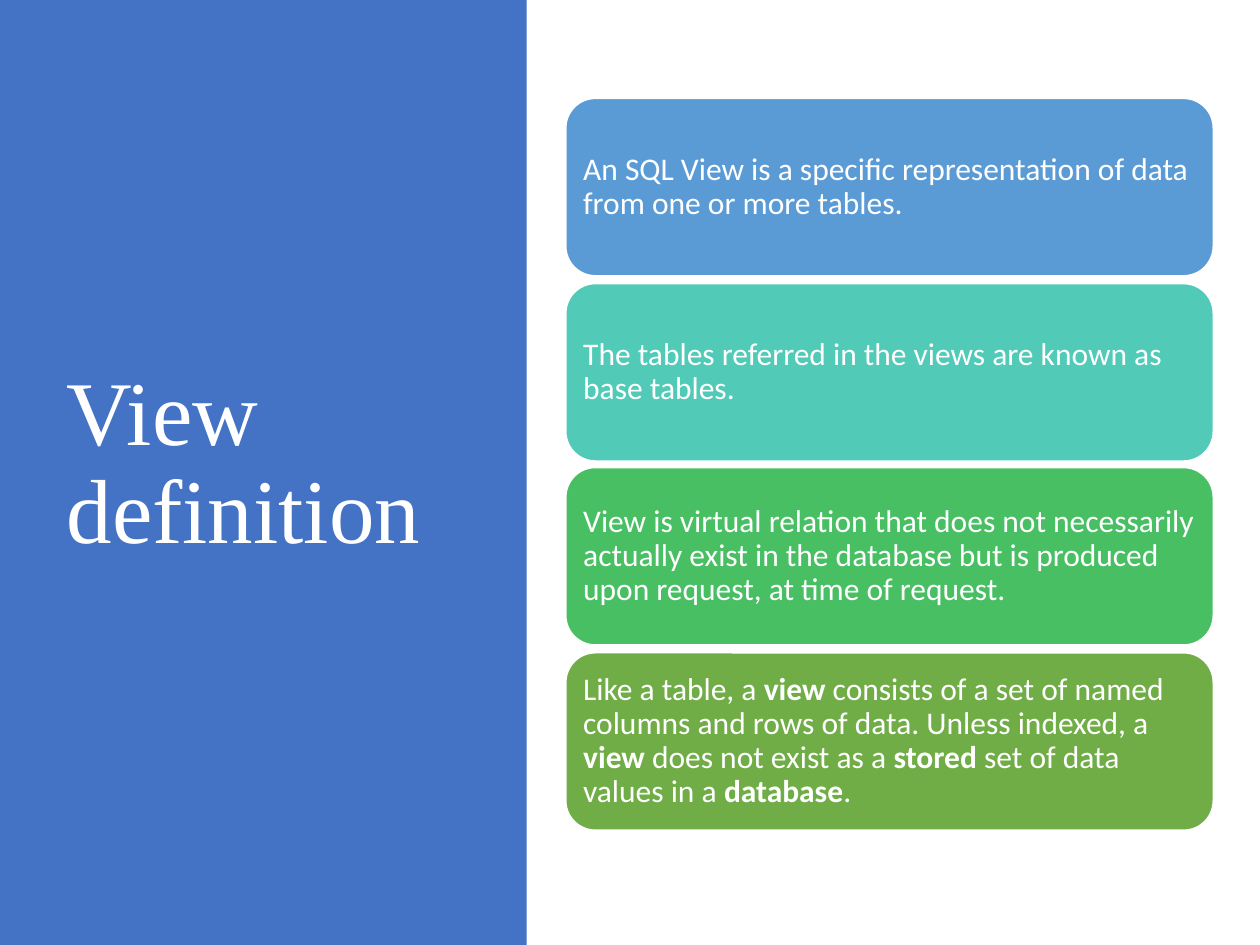
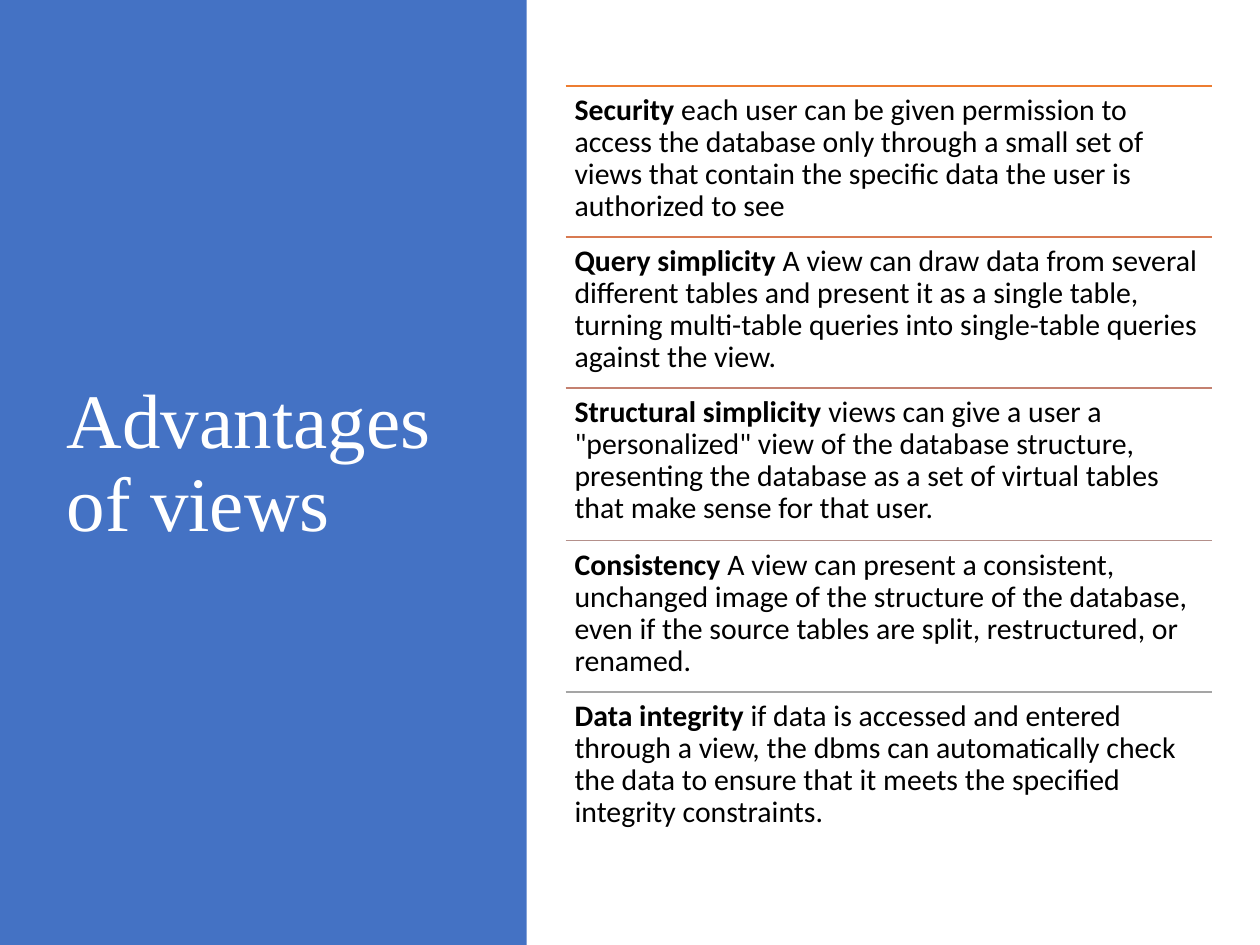
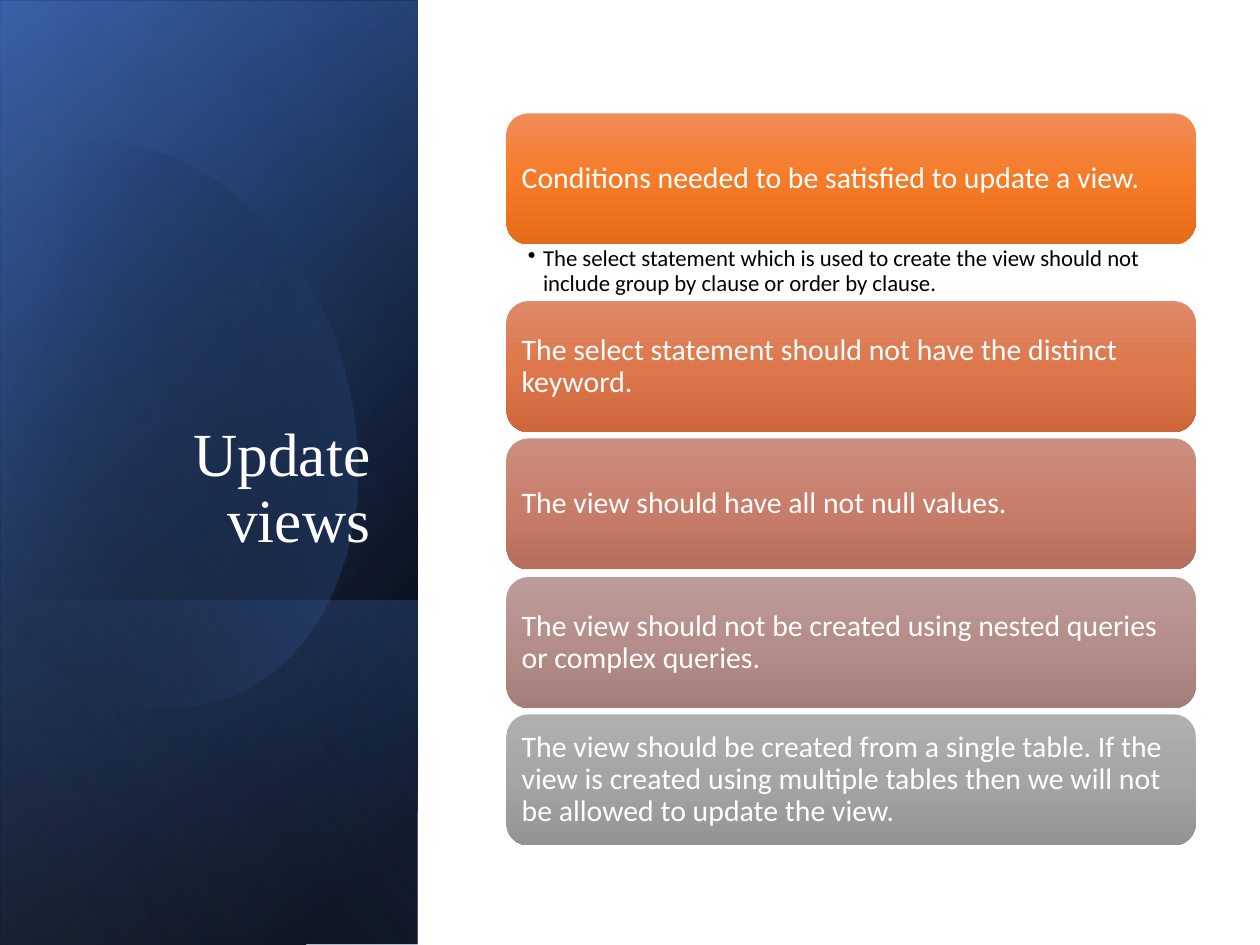
import math
from dataclasses import dataclass

from lxml import etree
from pptx import Presentation
from pptx import util as u
from pptx.dml.color import RGBColor
from pptx.enum import shapes, text
from pptx.oxml.ns import qn

PX = 9144  # EMU per px, 100 px to the inch
WIDTH, HEIGHT = 1000, 750
TITLE_ONLY = 5


@dataclass(frozen=True)
class Theme:
    body_font: str = "Calibri"
    title_font: str = "Times New Roman"
    white: str = "FFFFFF"
    black: str = "000000"
    accent: str = "4472C4"
    navy: str = "2F5597"
    mist: str = "8FAADC"
    definition_cards: tuple = ("5B9BD5", "52CAB8", "49BF64", "70AD47")
    rules: tuple = ("ED7D31", "D87A51", "C48170", "B4908B", "A5A5A5")
    condition_cards: tuple = (
        ("F18C57", "F67B28", "E56C19"), ("DD8A6A", "DE774B", "CD673B"),
        ("CB8F81", "C97E6B", "B76D5B"), ("BC9C99", "B68E89", "A47C78"),
        ("AFAFAF", "A5A5A5", "939393"))
    large_title: int = 52
    title: int = 44
    small_title: int = 35
    card: int = 18
    body: int = 17
    detail: int = 13


# Content: ** marks the start and end of bold words
DEFINITIONS = (
    "An SQL View is a specific representation of data from one or more tables.",
    "The tables referred in the views are known as base tables.",
    "View is virtual relation that does not necessarily actually exist in the "
    "database but is produced upon request, at time of request.",
    "Like a table, a **view** consists of a set of named columns and rows of data. "
    "Unless indexed, a **view** does not exist as a **stored** set of data values "
    "in a **database**.",
)
ADVANTAGES = (
    "**Security **each user can be given permission to access the database only "
    "through a small set of views that contain the specific data the user is "
    "authorized to see",
    "**Query simplicity **A view can draw data from several different tables and "
    "present it as a single table, turning multi-table queries into single-table "
    "queries against the view.",
    '**Structural simplicity **views can give a user a "personalized" view of the '
    "database structure, presenting the database as a set of virtual tables that "
    "make sense for that user.",
    "**Consistency **A view can present a consistent, unchanged image of the "
    "structure of the database, even if the source tables are split, "
    "restructured, or renamed.",
    "**Data integrity **if data is accessed and entered through a view, the dbms "
    "can automatically check the data to ensure that it meets the specified "
    "integrity constraints.",
)
CONDITIONS = (
    "Conditions needed to be satisfied to update a view.",
    "The select statement should not have the distinct keyword.",
    "The view should have all not null values.",
    "The view should not be created using nested queries or complex queries.",
    "The view should be created from a single table. If the view is created using "
    "multiple tables then we will not be allowed to update the view.",
)
CLAUSE_DETAIL = ("The select statement which is used to create the view should not "
                 "include group by clause or order by clause.")

# Outline of the glow on the side panel: a start, then curves (3 points) or lines (1)
GLOW_START = (96, 114)
GLOW_PARTS = (
    ((171, 122), (244, 192), (273, 290)),
    ((307, 412), (262, 531), (171, 557)),
    ((114, 574), (53, 550), (7, 500)),
    ((-3, 488),),
    ((-25, 166),),
    ((-15, 154),),
    ((2, 137), (22, 125), (45, 118)),
    ((62, 113), (79, 112), GLOW_START),
)


def emu(*lengths):
    return [u.Emu(round(length * PX)) for length in lengths]


def spread(first, last, count):
    """Evenly spaced positions from first to last."""
    return [round(first + (last - first) * i / (count - 1)) for i in range(count)]


def trace(start, parts, steps=16):
    """Points along an outline of lines and cubic curves."""
    points = [start]
    for part in parts:
        if len(part) == 1:
            points.append(part[0])
            continue
        controls = (points[-1], *part)
        for step in range(1, steps + 1):
            t = step / steps
            weights = ((1 - t) ** 3, 3 * t * (1 - t) ** 2, 3 * t * t * (1 - t), t ** 3)
            points.append(tuple(sum(w * c[axis] for w, c in zip(weights, controls))
                                for axis in (0, 1)))
    return points


def turn(points, center, degrees):
    cos, sin = math.cos(math.radians(degrees)), math.sin(math.radians(degrees))
    cx, cy = center
    return [(cx + (x - cx) * cos - (y - cy) * sin,
             cy + (x - cx) * sin + (y - cy) * cos) for x, y in points]


def write(frame, words, *, size, color, font=Theme.body_font, insets=(7, 7, 7, 7),
          anchor=text.MSO_ANCHOR.TOP, align=text.PP_ALIGN.LEFT, bullet_indent=0):
    frame.word_wrap = True
    frame.auto_size = text.MSO_AUTO_SIZE.NONE
    frame.vertical_anchor = anchor
    (frame.margin_left, frame.margin_top,
     frame.margin_right, frame.margin_bottom) = emu(*insets)
    paragraph = frame.paragraphs[0]
    paragraph.alignment = align
    paragraph.line_spacing = 0.9
    for i, part in enumerate(words.split("**")):
        if part:
            run = paragraph.add_run()
            run.text = part
            run.font.name = font
            run.font.size = u.Pt(size)
            run.font.bold = i % 2 == 1
            run.font.color.rgb = RGBColor.from_string(color)
    if bullet_indent:
        paragraph.level = 1
        props = paragraph._p.get_or_add_pPr()
        props.set("marL", str(bullet_indent * PX))
        props.set("indent", str(-bullet_indent * PX))
        etree.SubElement(props, qn("a:buChar")).set("char", "•")


class Deck:
    def __init__(self, theme):
        self.theme = theme
        self.prs = Presentation()
        self.prs.slide_width, self.prs.slide_height = emu(WIDTH, HEIGHT)
        self.slide = None

    def new_slide(self):
        layout = self.prs.slide_layouts[TITLE_ONLY]
        self.slide = self.prs.slides.add_slide(layout)

    def title(self, words, box, size, **style):
        title = self.slide.shapes.title
        title.left, title.top, title.width, title.height = emu(*box)
        write(title.text_frame, words, size=size, color=self.theme.white,
              font=self.theme.title_font, insets=(10, 5, 10, 5), **style)
        self.slide.shapes.element.append(title.element)  # in front of the panel

    def paint(self, shape, fill, angle=90, outline=None):
        """Fill with one colour, or with (position, colour, opacity) stops."""
        shape.shadow.inherit = False
        if outline:
            shape.line.color.rgb = RGBColor.from_string(outline)
            shape.line.width = u.Pt(1)
        else:
            shape.line.fill.background()
        if isinstance(fill, str):
            shape.fill.solid()
            shape.fill.fore_color.rgb = RGBColor.from_string(fill)
            return
        shape.fill.gradient()
        shape.fill.gradient_angle = 360 - angle
        stops = shape.element.spPr.find(qn("a:gradFill")).find(qn("a:gsLst"))
        for stop in list(stops):
            stops.remove(stop)
        for position, color, opacity in fill:
            stop = etree.SubElement(stops, qn("a:gs"), pos=str(position * 1000))
            tint = etree.SubElement(stop, qn("a:srgbClr"), val=color)
            if opacity < 100:
                etree.SubElement(tint, qn("a:alpha"), val=str(opacity * 1000))

    def panel(self, box, fill, angle=90, upright=True):
        panel = self.slide.shapes.add_shape(shapes.MSO_SHAPE.RECTANGLE, *emu(*box))
        self.paint(panel, fill, angle)
        if not upright:
            panel.rotation = 90
            panel.element.spPr.find(qn("a:xfrm")).set("flipH", "1")

    def outline(self, points, fill, angle, center, rotation):
        start, *rest = turn(points, center, -rotation)
        builder = self.slide.shapes.build_freeform(*start, scale=PX)
        builder.add_line_segments(rest, close=True)
        shape = builder.convert_to_shape()
        shape.rotation = rotation
        self.paint(shape, fill, angle)

    def card(self, words, box, fill, size, outline=None):
        card = self.slide.shapes.add_shape(
            shapes.MSO_SHAPE.ROUNDED_RECTANGLE, *emu(*box))
        self.paint(card, fill, outline=outline)
        write(card.text_frame, words, size=size, color=self.theme.white,
              anchor=text.MSO_ANCHOR.MIDDLE)

    def note(self, words, box, size, **style):
        note = self.slide.shapes.add_textbox(*emu(*box))
        write(note.text_frame, words, size=size, color=self.theme.black, **style)

    def rule(self, left, top, width, color):
        rule = self.slide.shapes.add_connector(
            shapes.MSO_CONNECTOR.STRAIGHT, *emu(left, top, left + width, top))
        rule.line.color.rgb = RGBColor.from_string(color)
        rule.line.width = u.Pt(1)
        etree.SubElement(rule.element.spPr, qn("a:effectLst"))

    def blue_side(self, words, size):
        self.new_slide()
        self.panel((0, 0, 418, HEIGHT), self.theme.accent)
        self.title(words, (43, 68, 312, 602), size, anchor=text.MSO_ANCHOR.MIDDLE)


def view_definition(deck):
    theme = deck.theme
    deck.blue_side("View definition", theme.large_title)
    tops = spread(78, 518, len(DEFINITIONS))
    for words, top, color in zip(DEFINITIONS, tops, theme.definition_cards):
        deck.card(words, (449, top, 514, 141), color, theme.card, outline=theme.white)


def advantages(deck):
    theme = deck.theme
    deck.blue_side("Advantages of views", theme.title)
    tops = spread(68, 549, len(ADVANTAGES))
    for words, top, color in zip(ADVANTAGES, tops, theme.rules):
        deck.rule(449, top, 513, color)
        deck.note(words, (449, top, 514, 120), theme.body)


def update_views(deck):
    theme = deck.theme
    black, accent = theme.black, theme.accent
    deck.new_slide()

    # Side panel: layered gradients, turned to stand upright
    side = (-209, 209, 750, 331)
    deck.panel(side, ((8, black, 100), (100, theme.navy, 100)), 50, upright=False)
    deck.panel((-209, 211, 750, 331), ((0, black, 0), (99, accent, 46)), 30,
               upright=False)
    deck.panel((29, 448, 274, 331), ((2, accent, 29), (100, black, 30)), 130,
               upright=False)
    deck.outline(trace(GLOW_START, GLOW_PARTS), ((29, black, 0), (100, accent, 43)),
                 angle=30, center=(119, 334.5), rotation=343.9)
    deck.panel(side, ((0, black, 0), (99, theme.mist, 11)), 120, upright=False)
    deck.title("Update views", (48, 184, 256, 262), theme.small_title,
               anchor=text.MSO_ANCHOR.BOTTOM, align=text.PP_ALIGN.RIGHT)

    # Conditions, with a detail below the first
    left, width = 402, 547
    tops = [90, *spread(239, 567, len(CONDITIONS) - 1)]
    for words, top, colors in zip(CONDITIONS, tops, theme.condition_cards):
        shades = [(i * 50, color, 100) for i, color in enumerate(colors)]
        deck.card(words, (left, top, width, 104), shades, theme.body)
    deck.note(CLAUSE_DETAIL, (left, 194, width, 45), theme.detail,
              insets=(17, 2, 13, 2), bullet_indent=12)


def main():
    deck = Deck(Theme())
    view_definition(deck)
    advantages(deck)
    update_views(deck)
    deck.prs.save("out.pptx")


if __name__ == "__main__":
    main()
